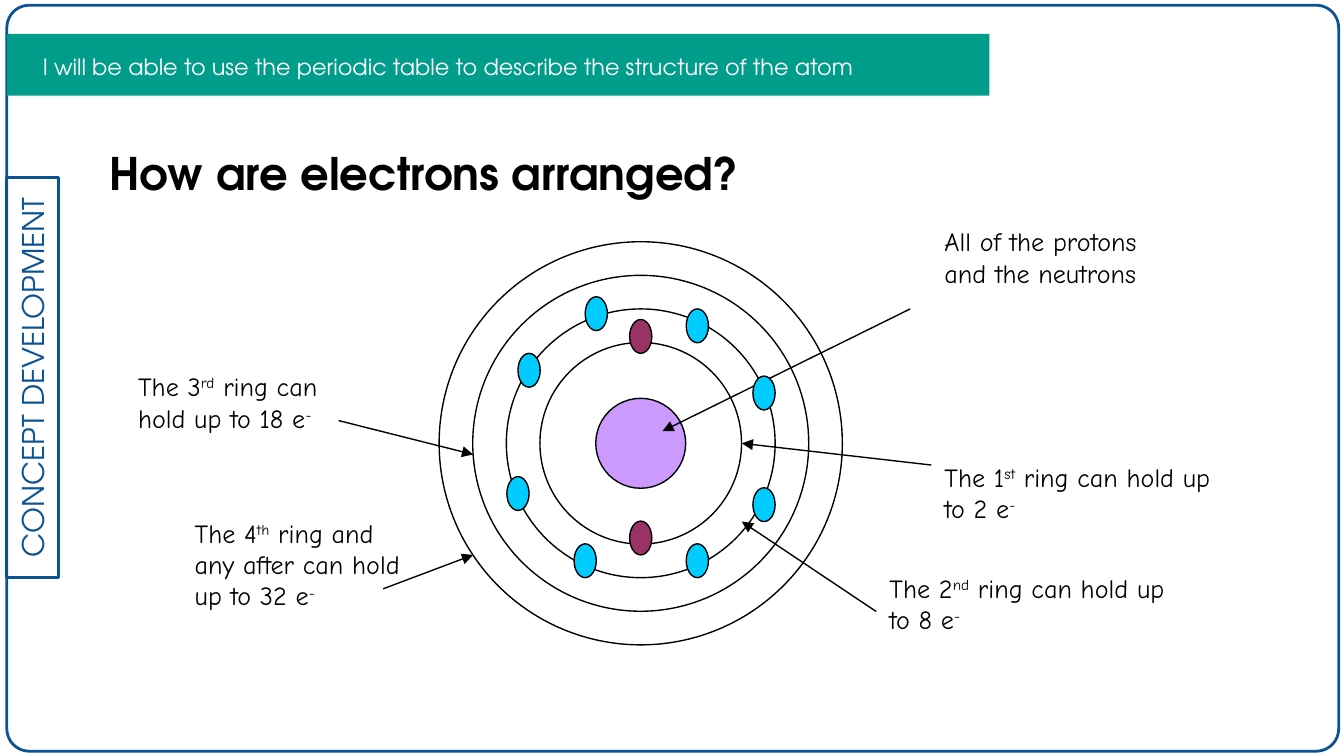
from dataclasses import dataclass

from lxml import etree
from pptx import Presentation
from pptx.dml.color import RGBColor
from pptx.enum import shapes, text
from pptx.oxml import ns
from pptx.util import Cm, Pt


@dataclass(frozen=True)
class Theme:
    heading_font: str = "TeX Gyre Adventor"
    label_font: str = "Comic Neue"
    navy: str = "0B5394"
    green: str = "019D8B"
    white: str = "FFFFFF"
    black: str = "000000"
    nucleus: str = "CC99FF"
    inner_electron: str = "993366"
    outer_electron: str = "00CCFF"
    title_size: float = 24
    tab_size: float = 16
    label_size: float = 14
    objective_size: float = 12
    border: float = 1.5
    thin: float = 0.75


@dataclass(frozen=True)
class Box:
    left: float
    top: float
    width: float
    height: float

    def inside(self, left, top, width, height):
        return Box(self.left + left, self.top + top, width, height)

    def lengths(self):
        return Cm(self.left), Cm(self.top), Cm(self.width), Cm(self.height)


THEME = Theme()
KIND = shapes.MSO_SHAPE
ELECTRON = (0.42, 0.64)
RING_DIAMETERS = (3.81, 5.08, 6.35, 7.62)
INNER_ELECTRONS = ((0, 1.79), (0, -2.02))
OUTER_ELECTRONS = (
    (1.07, 2.22), (2.33, -0.95), (1.07, -2.22), (-1.05, 2.22),
    (-2.11, -1.38), (-0.84, -2.45), (2.33, 1.16), (-2.32, 0.95),
)
CALLOUTS = (
    (("All of the protons and the neutrons",),
     (5.49, -4.24, 4.95, 2.54), (5.09, -2.54), (0.41, -0.23)),
    (("The 1", "st", " ring can hold up to 2 e", "-"),
     (5.49, 0.21, 5.72, 1.78), (5.49, 0.41), (1.91, 0)),
    (("The 2", "nd", " ring can hold up to 8 e", "-"),
     (4.45, 2.31, 5.92, 1.78), (4.45, 3.18), (1.91, 1.48)),
    (("The 3", "rd", " ring can hold up to 18 e", "-"),
     (-9.75, -1.5, 4.01, 2.54), (-5.71, -0.43), (-3.17, 0.21)),
    (("The 4", "th", " ring and any after can hold up to 32 e", "-"),
     (-8.68, 1.27, 4.65, 3.3), (-4.87, 2.75), (-3.17, 2.11)),
)


def rgb(colour):
    return RGBColor.from_string(colour)


def style_font(para, name, size, colour, bold=False):
    font = para.font
    font.name, font.size, font.bold = name, Pt(size), bold
    font.color.rgb = rgb(colour)


def set_margins(frame, margin):
    frame.margin_left = frame.margin_right = Cm(margin)
    frame.margin_top = frame.margin_bottom = Cm(margin)


def add_shape(page, kind, box, fill=None, line=None, weight=THEME.thin):
    shape = page.shapes.add_shape(kind, *box.lengths())
    shape.shadow.inherit = False
    if fill:
        shape.fill.solid()
        shape.fill.fore_color.rgb = rgb(fill)
    else:
        shape.fill.background()
    if line:
        shape.line.color.rgb = rgb(line)
        shape.line.width = Pt(weight)
    else:
        shape.line.fill.background()
    return shape


def add_ellipse(page, box, x, y, width, height, fill=None):
    centred = box.inside(box.width / 2 + x - width / 2,
                         box.height / 2 + y - height / 2, width, height)
    add_shape(page, KIND.OVAL, centred, fill, THEME.black)


def add_arrow(page, start, end):
    arrow = page.shapes.add_connector(
        shapes.MSO_CONNECTOR.STRAIGHT, *(Cm(value) for value in start + end))
    arrow.line.color.rgb = rgb(THEME.black)
    arrow.line.width = Pt(THEME.thin)
    etree.SubElement(arrow.line._get_or_add_ln(), ns.qn("a:tailEnd"), type="triangle")
    etree.SubElement(arrow._element.spPr, ns.qn("a:effectLst"))


def add_label(page, box, parts):
    frame = page.shapes.add_textbox(*box.lengths()).text_frame
    frame.word_wrap = True
    para = frame.paragraphs[0]
    for index, part in enumerate(parts):
        span = para.add_run()
        span.text = part
        if index % 2:
            span._r.get_or_add_rPr().set("baseline", "30000")
    style_font(para, THEME.label_font, THEME.label_size, THEME.black)


def fill_placeholder(page, holder, box, words, anchor, size, colour, bold=False):
    page.shapes._spTree.append(holder._element)
    holder.left, holder.top, holder.width, holder.height = box.lengths()
    frame = holder.text_frame
    frame.text = words
    frame.word_wrap = True
    frame.auto_size = text.MSO_AUTO_SIZE.NONE
    frame.vertical_anchor = anchor
    set_margins(frame, 0.25)
    para = frame.paragraphs[0]
    para.alignment = text.PP_ALIGN.LEFT
    para.line_spacing = 1.15
    para.space_before = Pt(0)
    properties = para._p.get_or_add_pPr()
    properties.set("marL", str(Cm(0.3)))
    properties.set("indent", "0")
    etree.SubElement(properties, ns.qn("a:buNone"))
    style_font(para, THEME.heading_font, size, colour, bold)


def draw_frame(page, box):
    border = add_shape(page, KIND.ROUNDED_RECTANGLE, box,
                       line=THEME.navy, weight=THEME.border)
    border.adjustments[0] = 0.03
    tab = add_shape(page, KIND.RECTANGLE, box.inside(-3.3, 6.55, 7.57, 0.97),
                    line=THEME.navy, weight=THEME.border)
    tab.rotation = 270
    frame = tab.text_frame
    frame.text = "CONCEPT DEVELOPMENT"
    frame.vertical_anchor = text.MSO_ANCHOR.MIDDLE
    set_margins(frame, 0.25)
    para = frame.paragraphs[0]
    para.alignment = text.PP_ALIGN.CENTER
    style_font(para, THEME.heading_font, THEME.tab_size, THEME.navy)


def draw_objective(page, box):
    add_shape(page, KIND.RECTANGLE, box, THEME.green)
    words = "I will be able to use the periodic table to describe the structure of the atom"
    fill_placeholder(page, page.placeholders[1],
                     box.inside(0.13, 0.1, box.width - 0.26, box.height - 0.2),
                     words, text.MSO_ANCHOR.MIDDLE, THEME.objective_size, THEME.white)


def draw_title(page, box):
    fill_placeholder(page, page.shapes.title, box, "How are electrons arranged?",
                     text.MSO_ANCHOR.TOP, THEME.title_size, THEME.black, True)


def draw_atom(page, box):
    add_ellipse(page, box, 0, 0, 1.7, 1.7, THEME.nucleus)
    for diameter in RING_DIAMETERS:
        add_ellipse(page, box, 0, 0, diameter, diameter)
    centre_x, centre_y = box.left + box.width / 2, box.top + box.height / 2
    for parts, (x, y, width, height), start, end in CALLOUTS:
        add_label(page, Box(centre_x + x, centre_y + y, width, height), parts)
        add_arrow(page, *((centre_x + dx, centre_y + dy) for dx, dy in (start, end)))
    for electrons, colour in ((INNER_ELECTRONS, THEME.inner_electron),
                              (OUTER_ELECTRONS, THEME.outer_electron)):
        for x, y in electrons:
            add_ellipse(page, box, x, y, *ELECTRON, colour)


def main():
    deck = Presentation()
    deck.slide_width, deck.slide_height = Cm(25.4), Cm(14.29)
    page = deck.slides.add_slide(deck.slide_layouts[1])
    draw_frame(page, Box(0.13, 0.1, 25.17, 14.2 - 0.1))
    draw_objective(page, Box(0.13, 0.64, 18.57, 1.17))
    draw_title(page, Box(1.52, 2.36, 17.15, 11.3))
    draw_atom(page, Box(8.3, 4.57, 7.62, 7.62))
    deck.save("out.pptx")


if __name__ == "__main__":
    main()
